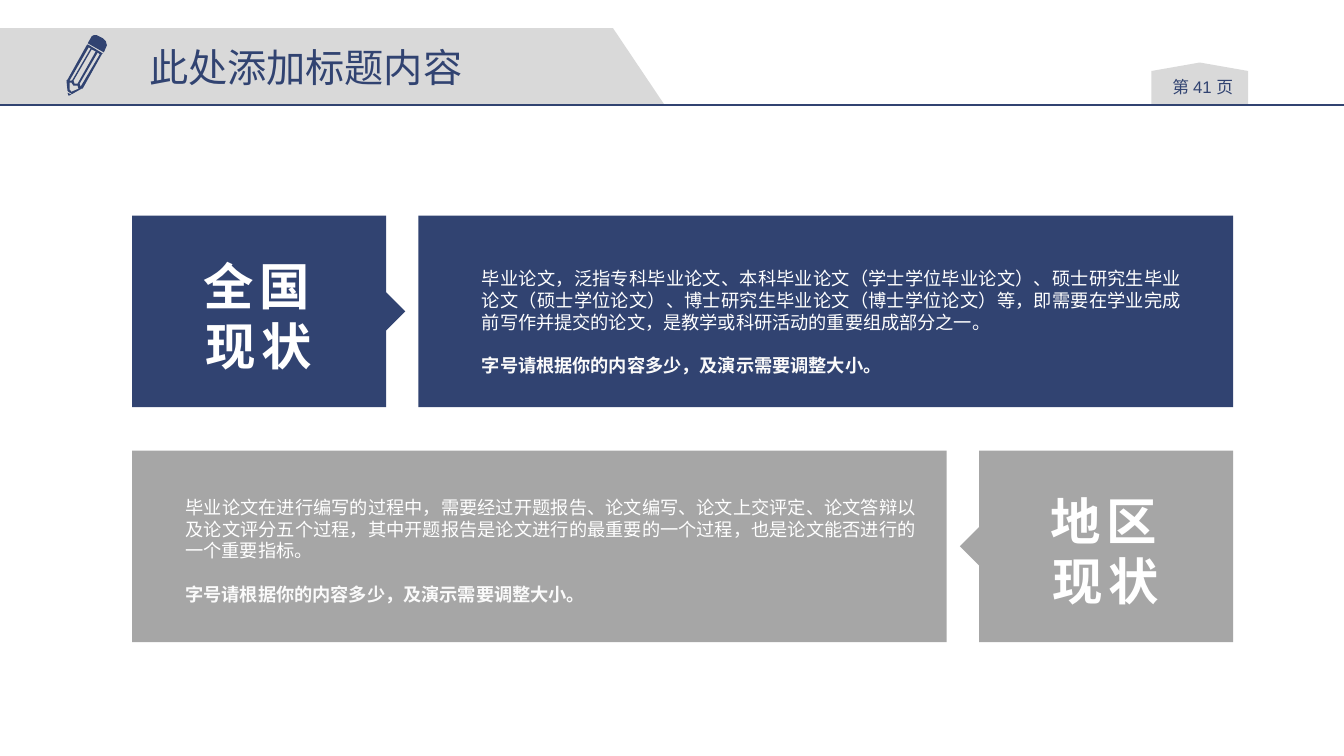
"""Build a slide comparing the national and the regional situation."""
from dataclasses import dataclass

from lxml import etree
from pptx import Presentation
from pptx import util as u
from pptx.dml.color import RGBColor
from pptx.enum import shapes, text
from pptx.oxml import ns
from pptx.shapes.autoshape import Shape
from pptx.shapes.shapetree import GroupShapes, SlideShapes
from pptx.text.text import TextFrame

NAVY = RGBColor(0x31, 0x43, 0x71)
SILVER = RGBColor(0xD9, 0xD9, 0xD9)
GRAY = RGBColor(0xA6, 0xA6, 0xA6)
WHITE = RGBColor(0xFF, 0xFF, 0xFF)
OFF_WHITE = RGBColor(0xFA, 0xFA, 0xFA)
CJK_FONT = "Noto Sans CJK SC"
SLIDE_WIDTH, SLIDE_HEIGHT = 13.33, 7.5
RULE_Y = 1.04
PANEL_HEIGHT, BODY_WIDTH, TAG_WIDTH = 1.9, 8.08, 2.52
ARROW_DEPTH, ARROW_HALF = 0.19, 0.19
SIZE_NOTE = "字号请根据你的内容多少，及演示需要调整大小。"

Point = tuple[float, float]
Box = tuple[float, float, float, float]

PENCIL_PARTS: list[list[list[Point]]] = [
    [[(0.91, 0.36), (0.93, 0.35), (0.96, 0.35), (1.02, 0.38), (1.05, 0.41),
      (1.06, 0.45), (1.03, 0.52), (0.87, 0.43)]],
    [
        [(0.66, 0.8), (0.67, 0.9), (0.68, 0.91), (0.71, 0.93), (0.72, 0.93),
         (0.81, 0.88), (0.82, 0.88), (1.01, 0.54), (1.02, 0.53), (0.97, 0.5),
         (0.87, 0.44), (0.86, 0.45), (0.67, 0.79)],
        [(0.69, 0.8), (0.88, 0.47), (0.9, 0.48), (0.72, 0.79), (0.71, 0.8)],
        [(0.71, 0.91), (0.69, 0.89), (0.69, 0.82), (0.71, 0.82), (0.73, 0.85),
         (0.77, 0.85), (0.78, 0.88)],
        [(0.73, 0.8), (0.91, 0.49), (0.95, 0.51), (0.77, 0.83), (0.74, 0.83)],
        [(0.8, 0.86), (0.79, 0.83), (0.97, 0.52), (0.99, 0.54)],
    ],
    [[(0.71, 0.94), (0.67, 0.92), (0.68, 0.95)]],
]


@dataclass(frozen=True)
class Panel:
    """A titled tag pointing at a wide body block."""

    color: RGBColor
    top: float
    body_left: float
    tag_left: float
    title: str
    title_box: Box
    description: str
    description_box: Box


PANELS = [
    Panel(NAVY, 2.14, 4.15, 1.31, "全国现状", (1.93, 2.53, 1.28, 1.21),
          "毕业论文，泛指专科毕业论文、本科毕业论文（学士学位毕业论文）、硕士研究生毕业论文（硕士学位论文）、"
          "博士研究生毕业论文（博士学位论文）等，即需要在学业完成前写作并提交的论文，"
          "是教学或科研活动的重要组成部分之一。",
          (4.78, 2.65, 6.93, 1.09)),
    Panel(GRAY, 4.47, 1.31, 9.71, "地区现状", (10.33, 4.86, 1.28, 1.21),
          "毕业论文在进行编写的过程中，需要经过开题报告、论文编写、论文上交评定、论文答辩以及论文评分五个过程，"
          "其中开题报告是论文进行的最重要的一个过程，也是论文能否进行的一个重要指标。",
          (1.84, 4.92, 7.24, 1.09)),
]


def paint(shape: Shape, color: RGBColor) -> None:
    """Give a shape a plain fill without line or shadow."""
    shape.shadow.inherit = False
    shape.fill.solid()
    shape.fill.fore_color.rgb = color
    shape.line.fill.background()


def add_block(tree: SlideShapes, kind: shapes.MSO_SHAPE, box: Box, color: RGBColor) -> Shape:
    """Add a filled preset shape."""
    shape = tree.add_shape(kind, *map(u.Inches, box))
    paint(shape, color)
    return shape


def add_outline(tree: SlideShapes | GroupShapes, contours: list[list[Point]],
                color: RGBColor) -> None:
    """Add a filled freeform made of closed contours."""
    scaled = [[(u.Inches(x), u.Inches(y)) for x, y in contour] for contour in contours]
    builder = tree.build_freeform(*scaled[0][0])
    for index, (start, *others) in enumerate(scaled):
        if index:
            builder.move_to(*start)
        builder.add_line_segments(others, close=True)
    paint(builder.convert_to_shape(), color)


def add_frame(tree: SlideShapes, box: Box, inset: Point = (0, 0), wrap: bool = True) -> TextFrame:
    """Add a text box and return its frame."""
    frame = tree.add_textbox(*map(u.Inches, box)).text_frame
    frame.word_wrap = wrap
    frame.margin_left = frame.margin_right = u.Inches(inset[0])
    frame.margin_top = frame.margin_bottom = u.Inches(inset[1])
    return frame


def write(frame: TextFrame, content: str, *, size: float, color: RGBColor, font: str = CJK_FONT,
          bold: bool = False, spacing: float = 0, before: float = 0, new: bool = False,
          align: text.PP_ALIGN = text.PP_ALIGN.LEFT) -> None:
    """Write a formatted run in the last paragraph or in a new one."""
    paragraph = frame.add_paragraph() if new else frame.paragraphs[-1]
    paragraph.alignment = align
    if before:
        paragraph.space_before = u.Pt(before)
    run = paragraph.add_run()
    run.text = content
    run.font.size = u.Pt(size)
    run.font.bold = bold
    run.font.name = font
    run.font.color.rgb = color
    properties = run.font._element
    etree.SubElement(properties, ns.qn("a:ea")).set("typeface", font)
    if spacing:
        properties.set("spc", str(round(spacing * 100)))


def add_header(tree: SlideShapes) -> None:
    """Draw the title banner, pencil, page tab and rule."""
    add_outline(tree, [[(0, RULE_Y), (0, 0.28), (6.08, 0.28), (6.59, RULE_Y)]], SILVER)
    tab = add_block(tree, shapes.MSO_SHAPE.FLOWCHART_OFFPAGE_CONNECTOR,
                    (11.42, 0.62, 0.96, 0.42), SILVER)
    tab.rotation = 180
    page = add_frame(tree, (11.48, 0.72, 0.9, 0.3), (0.07, 0.04))
    for content, font in (("第 ", CJK_FONT), ("41 ", "Arial"), ("页", CJK_FONT)):
        write(page, content, size=12, color=NAVY, font=font, align=text.PP_ALIGN.CENTER)
    rule = tree.add_connector(shapes.MSO_CONNECTOR.STRAIGHT, 0, u.Inches(RULE_Y),
                              u.Inches(SLIDE_WIDTH), u.Inches(RULE_Y))
    rule.line.color.rgb = NAVY
    rule.line.width = u.Pt(1)
    etree.SubElement(rule._element.spPr, ns.qn("a:effectLst"))
    pencil = tree.add_group_shape()
    for contours in PENCIL_PARTS:
        add_outline(pencil.shapes, contours, NAVY)
    title = add_frame(tree, (1.38, 0.38, 3.34, 0.57), (0.1, 0.05), wrap=False)
    write(title, "此处添加标题内容", size=28, color=NAVY)


def add_panel(tree: SlideShapes, panel: Panel) -> None:
    """Draw a body block, its pointing tag and their texts."""
    add_block(tree, shapes.MSO_SHAPE.RECTANGLE,
              (panel.body_left, panel.top, BODY_WIDTH, PANEL_HEIGHT), panel.color)
    direction = 1 if panel.tag_left < panel.body_left else -1
    near, far = panel.tag_left, panel.tag_left + TAG_WIDTH
    if direction < 0:
        near, far = far, near
    bottom, middle = panel.top + PANEL_HEIGHT, panel.top + PANEL_HEIGHT / 2
    add_outline(tree, [[(near, panel.top), (far, panel.top), (far, middle - ARROW_HALF),
                        (far + direction * ARROW_DEPTH, middle), (far, middle + ARROW_HALF),
                        (far, bottom), (near, bottom)]], panel.color)
    body = add_frame(tree, panel.description_box)
    write(body, panel.description, size=13, color=WHITE, align=text.PP_ALIGN.JUSTIFY)
    write(body, SIZE_NOTE, size=13, color=OFF_WHITE, bold=True, new=True, before=15.6,
          align=text.PP_ALIGN.JUSTIFY)
    write(add_frame(tree, panel.title_box), panel.title, size=36, color=WHITE, bold=True,
          spacing=3.9, align=text.PP_ALIGN.CENTER)


def main() -> None:
    """Create and save the presentation."""
    presentation = Presentation()
    presentation.slide_width = u.Inches(SLIDE_WIDTH)
    presentation.slide_height = u.Inches(SLIDE_HEIGHT)
    slide = presentation.slides.add_slide(presentation.slide_layouts[6])
    add_header(slide.shapes)
    for panel in PANELS:
        add_panel(slide.shapes, panel)
    presentation.save("out.pptx")


if __name__ == "__main__":
    main()
